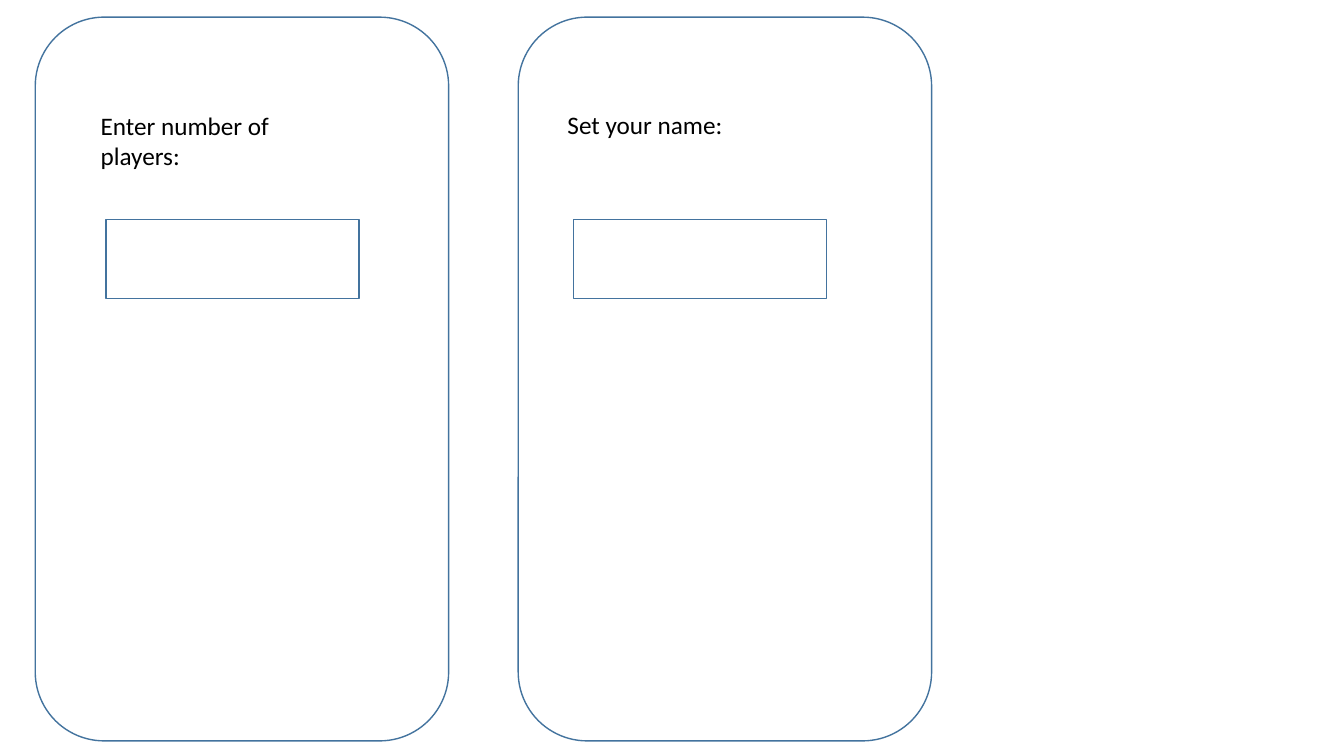
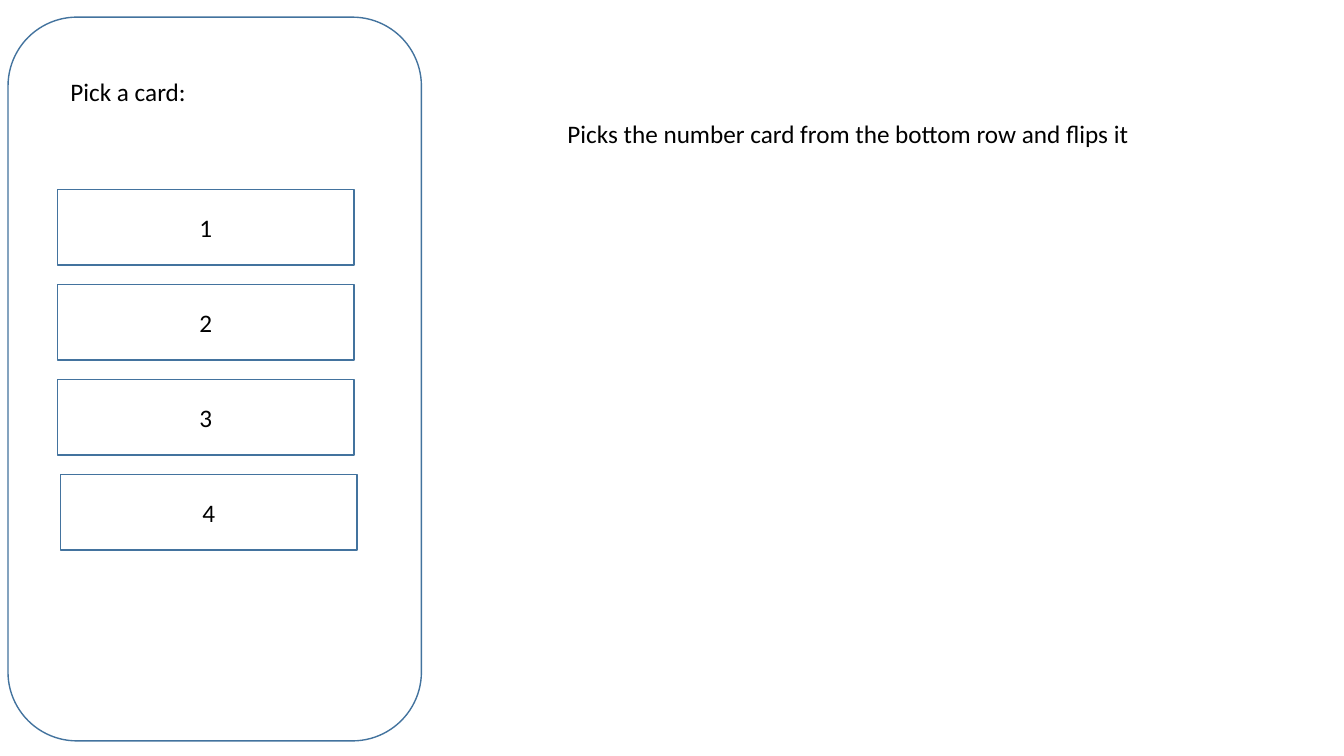
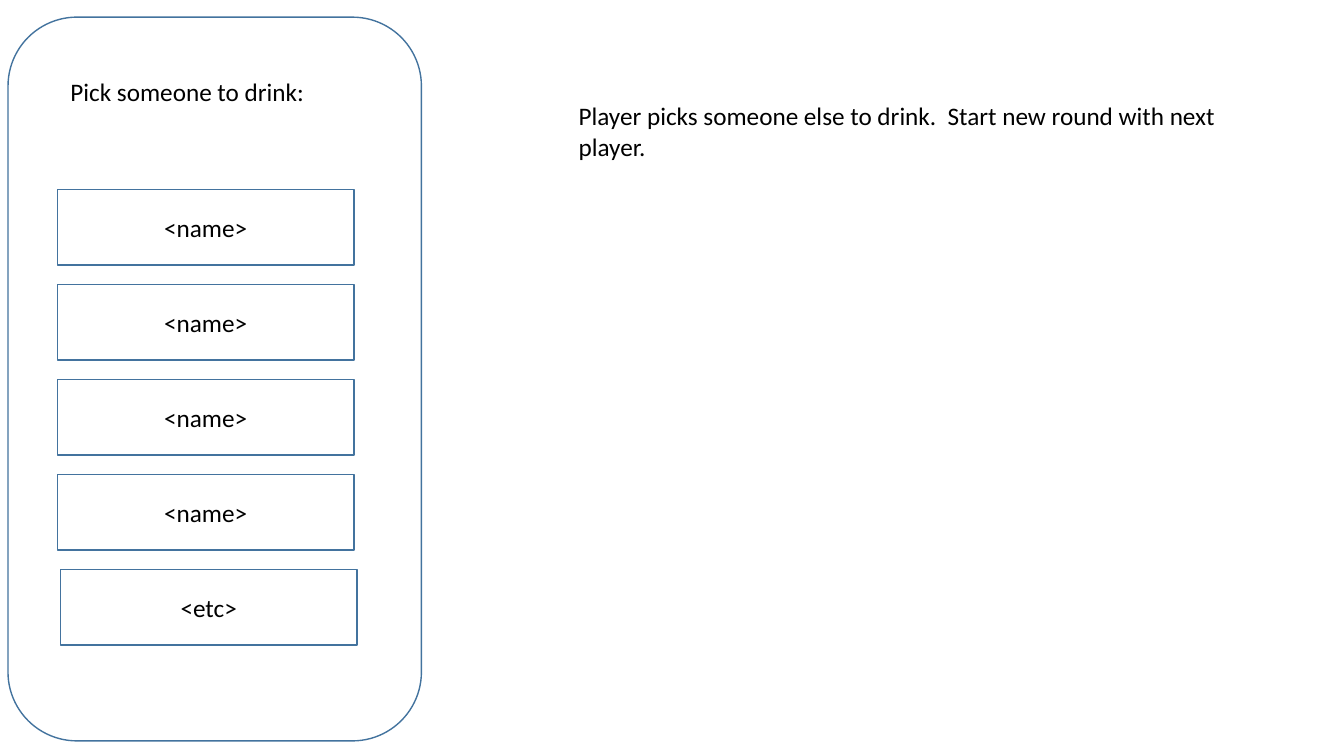
from pptx import Presentation
from pptx.dml.color import RGBColor
from pptx.enum.shapes import MSO_SHAPE
from pptx.enum.text import MSO_ANCHOR, MSO_AUTO_SIZE, PP_ALIGN
from pptx.util import Inches, Pt


def color(hex_string):
    return RGBColor.from_string(hex_string)


class Wireframe:
    COLUMN = ROW = Inches(0.1)
    OUTLINE, INK = "43739E", "000000"
    FONT, SIZE = "Calibri", Pt(18)
    SCREEN_TOP, SCREEN_WIDTH, SCREEN_HEIGHT = 1.7, 41, 71.8
    BUTTON_LEFT, BUTTON_TOP, BUTTON_PITCH = 5.7, 18.8, 9.42
    BUTTON_WIDTH, BUTTON_HEIGHT, LAST_BUTTON_SHIFT = 29.4, 7.5, 0.3

    def __init__(self):
        self.presentation = Presentation()
        self.presentation.slide_width = Inches(13.33)
        self.presentation.slide_height = Inches(7.5)
        self.slide = None

    def new_slide(self):
        blank = self.presentation.slide_layouts[6]
        self.slide = self.presentation.slides.add_slide(blank)

    def place(self, left, top, width, height):
        return (round(left * self.COLUMN), round(top * self.ROW),
                round(width * self.COLUMN), round(height * self.ROW))

    def add_text(self, paragraph, text):
        run = paragraph.add_run()
        run.text = text
        run.font.name = self.FONT
        run.font.size = self.SIZE
        run.font.color.rgb = color(self.INK)

    def outline(self, kind, *area):
        shape = self.slide.shapes.add_shape(kind, *self.place(*area))
        shape.shadow.inherit = False
        shape.fill.background()
        shape.line.color.rgb = color(self.OUTLINE)
        shape.line.width = Pt(1)
        return shape

    def screen(self, left):
        self.outline(MSO_SHAPE.ROUNDED_RECTANGLE, left, self.SCREEN_TOP,
                     self.SCREEN_WIDTH, self.SCREEN_HEIGHT)

    def label(self, text, left, top, width, lines=1):
        height = 0.9 + 3.1 * lines
        box = self.slide.shapes.add_textbox(*self.place(left, top, width, height))
        frame = box.text_frame
        frame.word_wrap = True
        frame.auto_size = MSO_AUTO_SIZE.SHAPE_TO_FIT_TEXT
        self.add_text(frame.paragraphs[0], text)

    def field(self, left, top):
        self.outline(MSO_SHAPE.RECTANGLE, left, top, 25.1, 7.8)

    def button(self, text, left, top):
        shape = self.outline(MSO_SHAPE.RECTANGLE, left, top,
                             self.BUTTON_WIDTH, self.BUTTON_HEIGHT)
        frame = shape.text_frame
        frame.vertical_anchor = MSO_ANCHOR.MIDDLE
        paragraph = frame.paragraphs[0]
        paragraph.alignment = PP_ALIGN.CENTER
        self.add_text(paragraph, text)

    def choice_screen(self, prompt, choices):
        self.screen(0.8)
        self.label(prompt, 6, 7.1, 32.1)
        for index, choice in enumerate(choices):
            is_last = index == len(choices) - 1
            left = self.BUTTON_LEFT + self.LAST_BUTTON_SHIFT * is_last
            self.button(choice, left, self.BUTTON_TOP + index * self.BUTTON_PITCH)


wireframe = Wireframe()

wireframe.new_slide()
for screen_left, prompt, prompt_left, lines, field_left in (
    (3.5, "Enter number of players:", 9, 2, 10.5),
    (51.4, "Set your name:", 55.3, 1, 56.9),
):
    wireframe.screen(screen_left)
    wireframe.label(prompt, prompt_left, 10.4, 24.8, lines)
    wireframe.field(field_left, 21.8)

wireframe.new_slide()
wireframe.choice_screen("Pick a card:", ["1", "2", "3", "4"])
wireframe.label("Picks the number card from the bottom row and flips it",
                55.3, 11.2, 60.5)

wireframe.new_slide()
wireframe.choice_screen("Pick someone to drink:", ["<name>"] * 4 + ["<etc>"])
wireframe.label("Player picks someone else to drink.  Start new round with next player.",
                56.4, 9.5, 65.5, lines=2)

wireframe.presentation.save("out.pptx")
